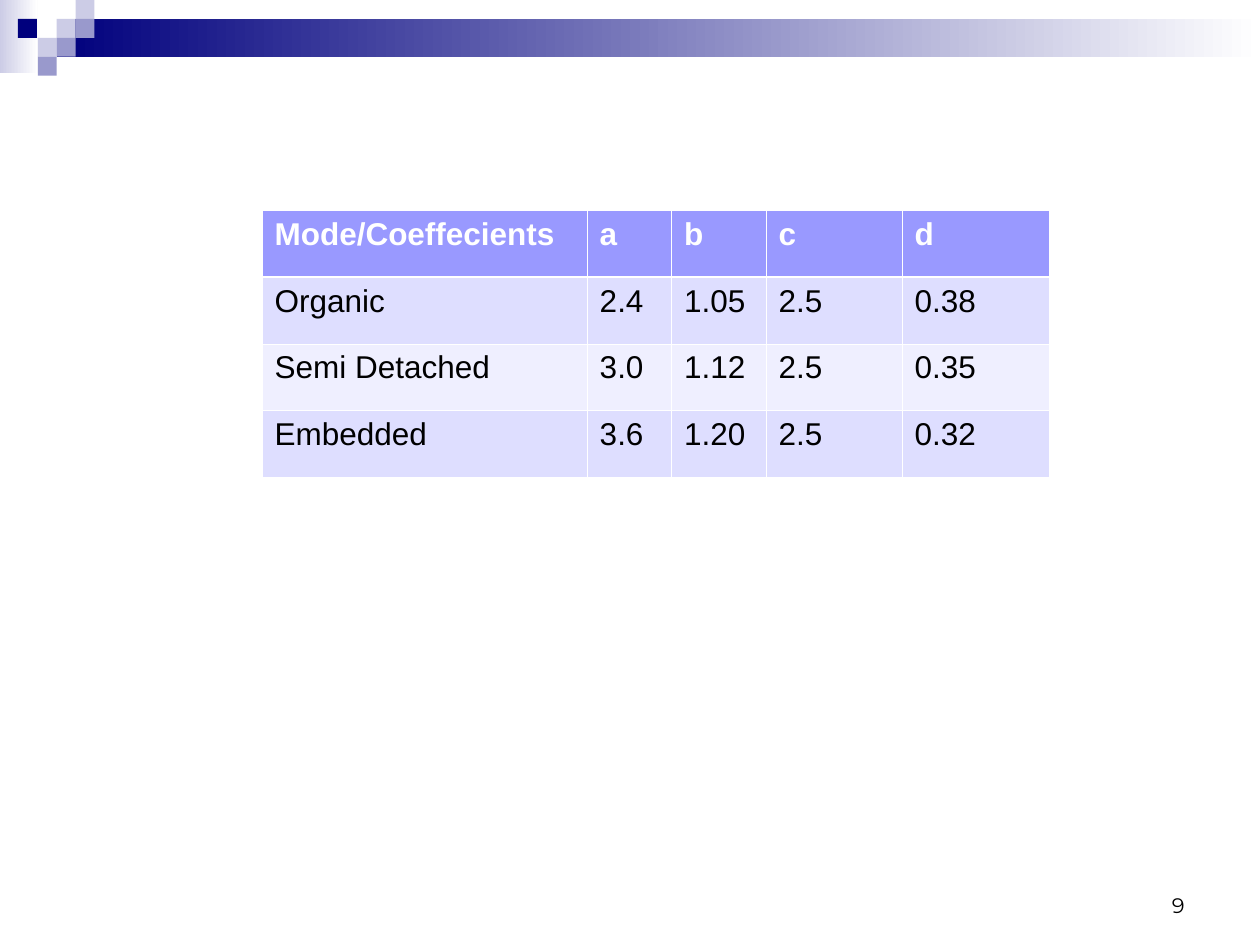
from lxml.etree import SubElement
from pptx import Presentation
from pptx.dml.color import RGBColor
from pptx.enum.shapes import MSO_SHAPE as Shape
from pptx.enum.text import MSO_ANCHOR as Anchor, PP_ALIGN as Align
from pptx.oxml.ns import qn
from pptx.util import Inches, Pt

WHITE = RGBColor(0xFF, 0xFF, 0xFF)
BLACK = RGBColor(0, 0, 0)
NAVY = RGBColor(0x00, 0x00, 0x7D)
LAVENDER = RGBColor(0xCC, 0xCC, 0xE6)
MAUVE = RGBColor(0x99, 0x99, 0xCC)
HEADER = RGBColor(0x99, 0x99, 0xFF)
BANDS = RGBColor(0xDE, 0xDE, 0xFF), RGBColor(0xEF, 0xEF, 0xFF)

WIDTH, HEIGHT = 10, 7.5
UNIT = WIDTH * 0.015

TILES = [
    (3, 1, LAVENDER), (4, 0, LAVENDER), (4, 1, MAUVE), (2, 2, LAVENDER),
    (0.95, 1, NAVY), (3, 2, MAUVE), (2, 3, MAUVE),
]
COEFFICIENTS = [
    ("Mode/Coeffecients", "a", "b", "c", "d"),
    ("Organic", "2.4", "1.05", "2.5", "0.38"),
    ("Semi Detached", "3.0", "1.12", "2.5", "0.35"),
    ("Embedded", "3.6", "1.20", "2.5", "0.32"),
]
COLUMN_WEIGHTS = 2.58, 0.67, 0.75, 1.08, 1.17


def add_block(slide, box, color, fade=False):
    block = slide.shapes.add_shape(Shape.RECTANGLE, *map(Inches, box))
    block.shadow.inherit = False
    block.line.fill.background()
    if fade:
        block.fill.gradient()
        block.fill.gradient_angle = 0
        for stop, shade, position in zip(block.fill.gradient_stops, (color, WHITE), (0, 1)):
            stop.color.rgb = shade
            stop.position = position
    else:
        block.fill.solid()
        block.fill.fore_color.rgb = color


def add_banner(slide, box):
    left, top, width, height = box
    add_block(slide, (left, top, 2 * UNIT, height), LAVENDER, fade=True)
    add_block(slide, (left + 3 * UNIT, top + UNIT, width - 3 * UNIT, 2 * UNIT), NAVY, fade=True)
    for column, row, color in TILES:
        add_block(slide, (left + column * UNIT, top + row * UNIT, UNIT, UNIT), color)


def set_borders(cell, widths):
    properties = cell._tc.get_or_add_tcPr()
    for side, width in zip("LRTB", widths):
        line = SubElement(properties, qn(f"a:ln{side}"), w=str(Pt(width)))
        SubElement(SubElement(line, qn("a:solidFill")), qn("a:srgbClr"), val=str(WHITE))


def add_coefficients(slide, box):
    left, top, width, height = box
    rows = len(COEFFICIENTS)
    table = slide.shapes.add_table(rows, len(COLUMN_WEIGHTS), *map(Inches, box)).table
    for column, weight in zip(table.columns, COLUMN_WEIGHTS):
        column.width = Inches(width * weight / sum(COLUMN_WEIGHTS))
    for r, values in enumerate(COEFFICIENTS):
        table.rows[r].height = Inches(height / rows)
        is_header = r == 0
        for c, value in enumerate(values):
            cell = table.cell(r, c)
            set_borders(cell, (0.45, 0.45, 1.47 if r == 1 else 0.45, 1.47 if is_header else 0.45))
            cell.fill.solid()
            cell.fill.fore_color.rgb = HEADER if is_header else BANDS[(r - 1) % 2]
            cell.text_frame.text = value
            font = cell.text_frame.paragraphs[0].runs[0].font
            font.name, font.size, font.bold = "Arial", Pt(18), is_header
            font.color.rgb = WHITE if is_header else BLACK


def add_page_number(slide, box, number):
    frame = slide.shapes.add_textbox(*map(Inches, box)).text_frame
    frame.word_wrap = True
    frame.vertical_anchor = Anchor.BOTTOM
    frame.text = number
    paragraph = frame.paragraphs[0]
    paragraph.alignment = Align.RIGHT
    font = paragraph.runs[0].font
    font.name, font.size = "Montserrat", Pt(12)
    font.color.rgb = BLACK


def main():
    deck = Presentation()
    deck.slide_width, deck.slide_height = Inches(WIDTH), Inches(HEIGHT)
    slide = deck.slides.add_slide(deck.slide_layouts[6])
    add_banner(slide, (0, 0, WIDTH, 0.58))
    add_coefficients(slide, (2.08, 1.67, 6.25, 2.12))
    add_page_number(slide, (7.17, 6.83, 2.33, 0.5), "9")
    deck.save("out.pptx")


if __name__ == "__main__":
    main()
